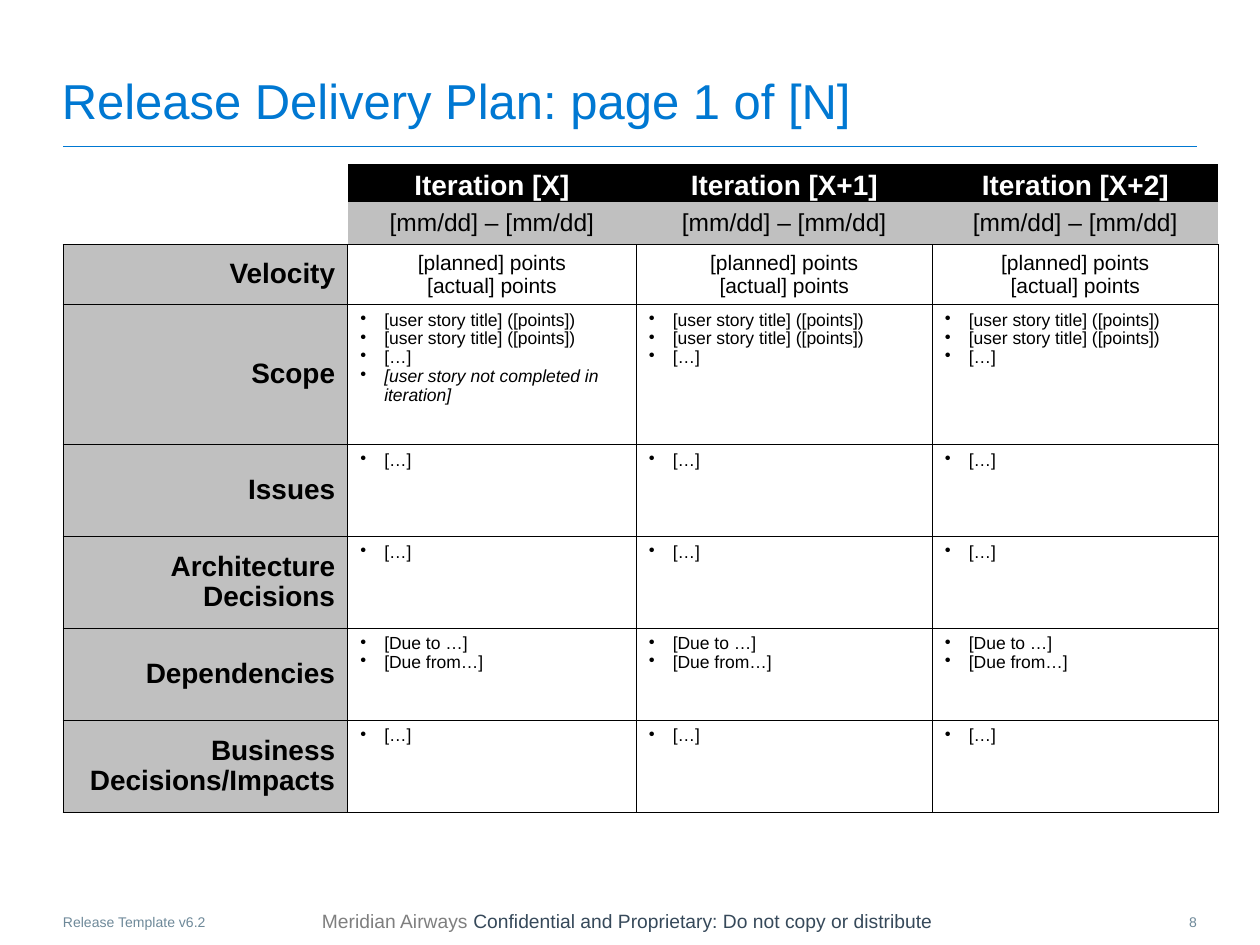
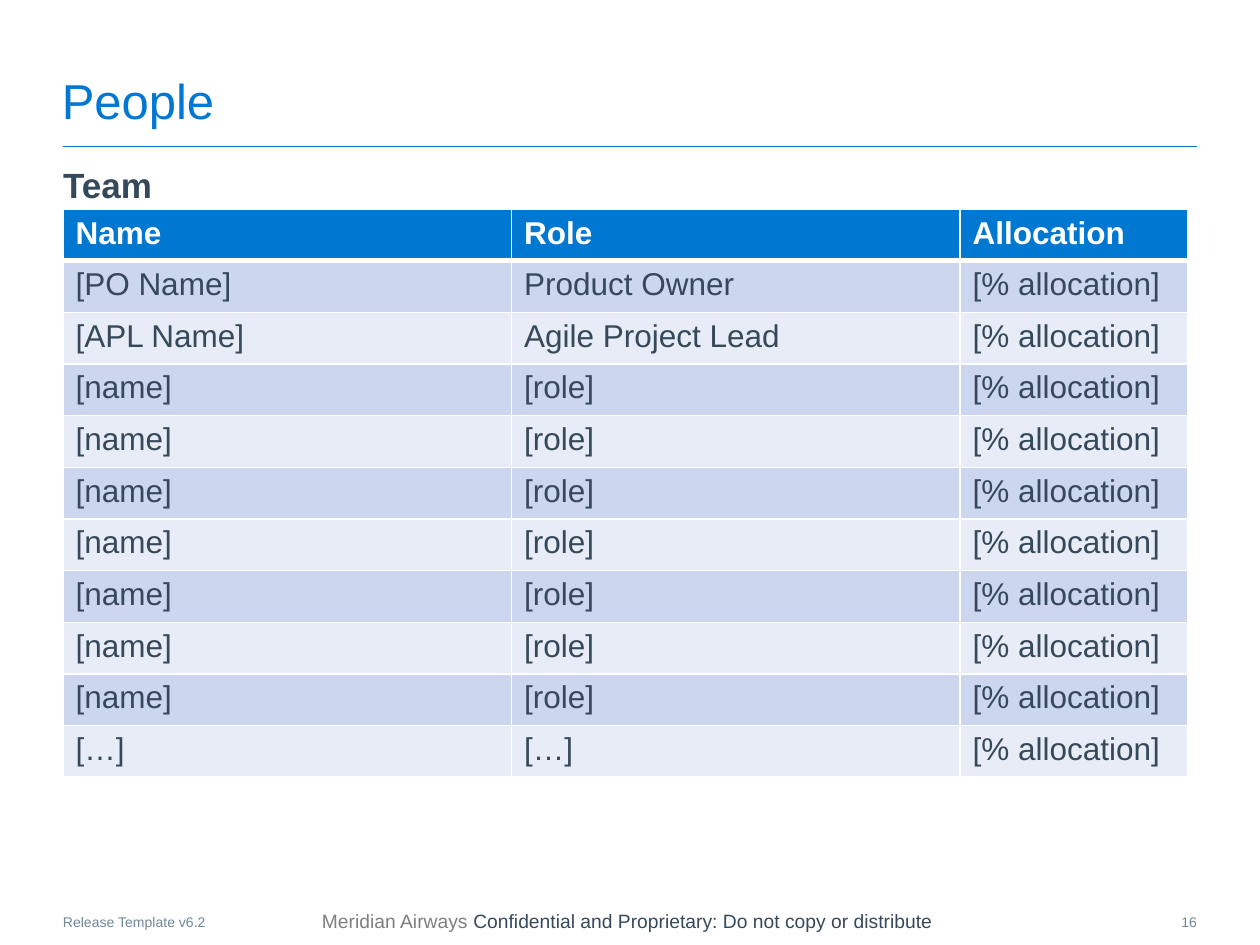
from lxml import etree
from pptx import Presentation
from pptx.dml.color import RGBColor
from pptx.enum import shapes, text
from pptx.oxml import ns

PX = 9144  # one px is a hundredth of an inch
FONT = "Arial"
INK = {
    "blue": "0078D2", "slate": "36495A", "mist": "6E8999", "gray": "7F7F7F",
    "black": "000000", "white": "FFFFFF", "silver": "C0C0C0",
    "band": "CCD6EE", "pale": "E7ECF7",
}
LEFT, CENTER, RIGHT = text.PP_ALIGN.LEFT, text.PP_ALIGN.CENTER, text.PP_ALIGN.RIGHT
TOP, MIDDLE, BOTTOM = (text.MSO_ANCHOR.TOP, text.MSO_ANCHOR.MIDDLE,
                       text.MSO_ANCHOR.BOTTOM)
SIDES = "LRTB"
PAD = (10, 5, 10, 5)
TIGHT = (1, 1, 1, 0)


def rgb(name):
    return RGBColor.from_string(INK[name])


def place(shape, box):
    shape.left, shape.top, shape.width, shape.height = (n * PX for n in box)


def inset(item, pad):
    """Set the margins of a text frame or table cell."""
    (item.margin_left, item.margin_top,
     item.margin_right, item.margin_bottom) = (n * PX for n in pad)


def mark(para, char=None, indent=0):
    """Give a paragraph a hanging bullet, or take its bullet away."""
    props = para._p.get_or_add_pPr()
    props.set("marL", str(indent * PX))
    props.set("indent", str(-indent * PX))
    if char:
        etree.SubElement(props, ns.qn("a:buChar"), char=char)
    else:
        etree.SubElement(props, ns.qn("a:buNone"))


def write(frame, lines, size, ink, align=LEFT, bold=False, bullet=None, lead=1.0):
    """Fill a frame; each line is a list of (words, changes) runs."""
    for i, line in enumerate(lines):
        para = frame.paragraphs[0] if i == 0 else frame.add_paragraph()
        mark(para, bullet, 19 if bullet else 0)
        para.alignment = align
        para.line_spacing = lead
        para.space_before = 0
        for words, change in line:
            run = para.add_run()
            run.text = words
            font = run.font
            font.name, font.size, font.bold = FONT, size * 12700, bold
            font.italic = change.get("italic", False)
            font.color.rgb = rgb(change.get("ink", ink))


def plain(*lines):
    return [[(line, {})] for line in lines]


def fit(shape, box, anchor=TOP, pad=(0, 0, 0, 0), wrap=True):
    """Place a text shape and return its frame."""
    place(shape, box)
    frame = shape.text_frame
    frame.auto_size = text.MSO_AUTO_SIZE.NONE
    frame.word_wrap = wrap
    frame.vertical_anchor = anchor
    inset(frame, pad)
    return frame


def label(slide, box, lines, size, ink, align=LEFT, **frame):
    shape = slide.shapes.add_textbox(0, 0, 0, 0)
    write(fit(shape, box, **frame), lines, size, ink, align)


def edge(cell, inks, widths):
    """Draw the cell's borders; a side without a width gets none."""
    props = cell._tc.get_or_add_tcPr()
    for side in SIDES:
        width = widths.get(side, 0)
        line = etree.SubElement(props, ns.qn(f"a:ln{side}"), w=str(int(width * 12700)))
        if width:
            fill = etree.SubElement(line, ns.qn("a:solidFill"))
            etree.SubElement(fill, ns.qn("a:srgbClr"), val=INK[inks])
        else:
            etree.SubElement(line, ns.qn("a:noFill"))


def paint(cell, fill):
    if fill:
        cell.fill.solid()
        cell.fill.fore_color.rgb = rgb(fill)
    else:
        cell.fill.background()


def grid(slide, left, top, cols, rows):
    """Add an unstyled table with the given column widths and row heights."""
    frame = slide.shapes.add_table(len(rows), len(cols), left * PX, top * PX,
                                   sum(cols) * PX, sum(rows) * PX)
    table = frame.table
    table.first_row = table.horz_banding = False
    for col, width in zip(table.columns, cols):
        col.width = width * PX
    for row, height in zip(table.rows, rows):
        row.height = height * PX
    return table


def base(deck, layout, title, page):
    """Add a slide with the title, rule and footers that all slides share."""
    slide = deck.slides.add_slide(deck.slide_layouts[layout])
    write(fit(slide.shapes.title, (49, 42, 901, 61), BOTTOM), plain(title), 28, "blue")
    rule = slide.shapes.add_connector(shapes.MSO_CONNECTOR.STRAIGHT,
                                      50 * PX, 116 * PX, 950 * PX, 116 * PX)
    rule.line.color.rgb = rgb("blue")
    rule.line.width = 6350
    etree.SubElement(rule._element.spPr, ns.qn("a:effectLst"))
    notice = [[("Meridian Airways ", {"ink": "gray"}),
               ("Confidential and Proprietary: Do not copy or distribute", {})]]
    label(slide, (201, 718, 594, 26), notice, 11, "slate", CENTER,
          anchor=MIDDLE, pad=PAD, wrap=False)
    label(slide, (50, 725, 183, 14), plain("Release Template v6.2"), 8, "mist")
    label(slide, (915, 725, 35, 15), plain(page), 8, "mist", RIGHT)
    return slide


def plan(slide, left, top):
    """Iterations across, planning topics down."""
    blank = plain("[…]")
    story = plain(*["[user story title] ([points])"] * 2, "[…]")
    missed = [[("[user story not completed in iteration]", {"italic": True})]]
    due = plain("[Due to …]", "[Due from…]")
    topics = [
        ("Velocity", [plain("[planned] points", "[actual] points")] * 3),
        ("Scope", [story + missed, story, story]),
        ("Issues", [blank] * 3),
        ("Architecture Decisions", [blank] * 3),
        ("Dependencies", [due] * 3),
        ("Business Decisions/Impacts", [blank] * 3),
    ]
    table = grid(slide, left, top, [226, 229, 235, 227],
                 [30, 34, 48, 111] + [73] * 4)

    def put(row, col, lines, size, ink="black", fill=None, anchor=MIDDLE,
            pad=TIGHT, sides=SIDES, **style):
        cell = table.cell(row, col)
        edge(cell, "black", dict.fromkeys(sides, 0.5))
        paint(cell, fill)
        inset(cell, pad)
        cell.vertical_anchor = anchor
        write(cell.text_frame, lines, size, ink, lead=0.96, **style)

    for row, sides in enumerate(["", "B"]):
        put(row, 0, [], 10, sides=sides)
    table.cell(0, 0).merge(table.cell(1, 0))
    for col, name in enumerate(["X", "X+1", "X+2"], 1):
        put(0, col, plain(f"Iteration [{name}]"), 16, "white", "black", BOTTOM,
            sides="", align=CENTER, bold=True)
        put(1, col, plain("[mm/dd] – [mm/dd]"), 14, fill="silver",
            sides="B", align=CENTER)
    for row, (topic, cells) in enumerate(topics, 2):
        put(row, 0, plain(topic), 16, fill="silver", pad=PAD, align=RIGHT, bold=True)
        for col, lines in enumerate(cells, 1):
            if topic == "Velocity":
                put(row, col, lines, 12, align=CENTER)
            else:
                put(row, col, lines, 10, anchor=TOP, pad=PAD, bullet="•")


def team(slide, left, top):
    """Banded list of people, roles and allocations."""
    share = "[% allocation]"
    people = [
        ("Name", "Role", "Allocation"),
        ("[PO Name]", "Product Owner", share),
        ("[APL Name]", "Agile Project Lead", share),
        *[("[name]", "[role]", share)] * 7,
        ("[…]", "[…]", share),
    ]
    table = grid(slide, left, top, [356, 356, 181], [41] * len(people))
    for row, person in enumerate(people):
        head = row == 0
        fill = "blue" if head else "band" if row % 2 else "pale"
        widths = dict.fromkeys(SIDES, 1)
        if head:
            widths["B"] = 3
        elif row == 1:
            widths["T"] = 3
        for col, words in enumerate(person):
            cell = table.cell(row, col)
            edge(cell, "white", widths)
            paint(cell, fill)
            inset(cell, PAD)
            write(cell.text_frame, plain(words), 18,
                  "white" if head else "slate", bold=head)


def main():
    deck = Presentation()
    deck.slide_width, deck.slide_height = 1000 * PX, 750 * PX

    plan(base(deck, 5, "Release Delivery Plan: page 1 of [N]", "8"), 50, 130)

    people = base(deck, 1, "People", "16")
    body = fit(people.placeholders[1], (50, 130, 900, 542))
    write(body, plain("Team"), 20, "slate", bold=True)
    team(people, 50, 166)

    deck.save("out.pptx")


if __name__ == "__main__":
    main()
